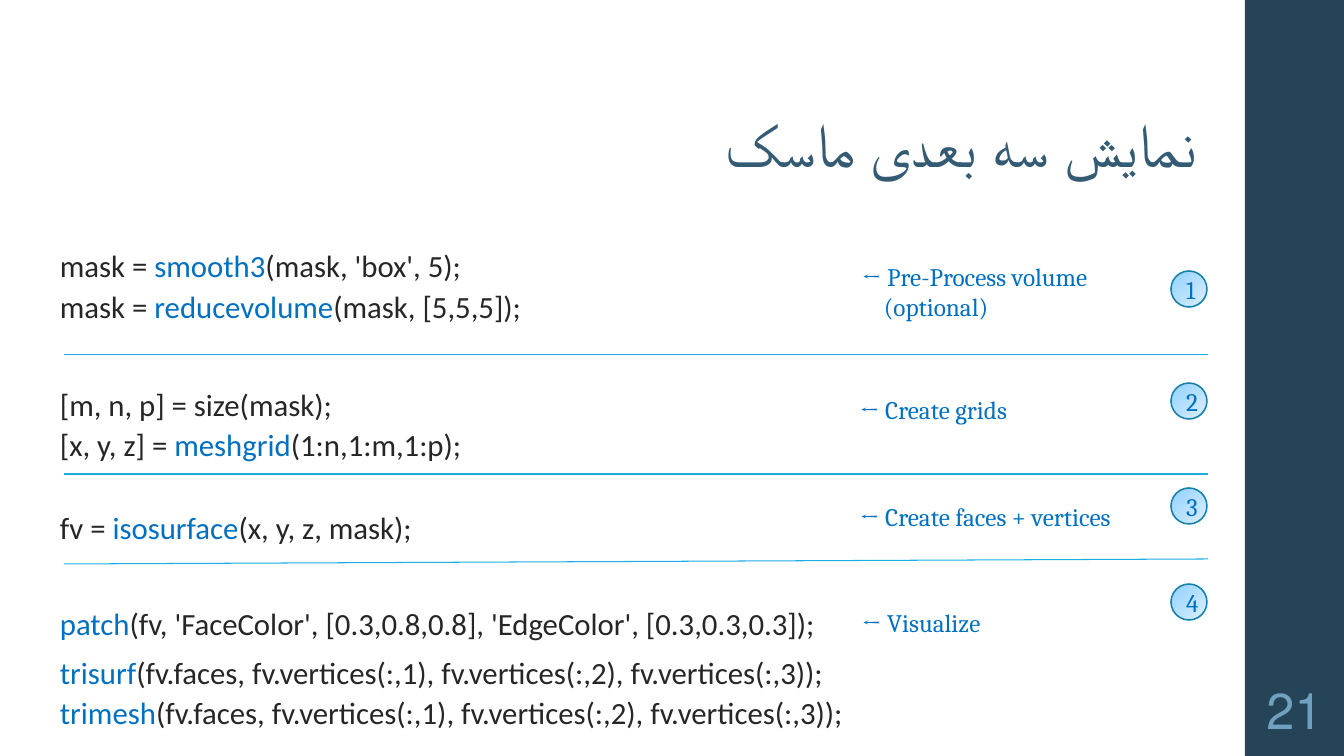
import pptx
import pptx.util
import pptx.dml.color
import pptx.enum.shapes
import pptx.enum.text
import pptx.oxml.ns
import lxml.etree

RGB = pptx.dml.color.RGBColor
NAVY = RGB(0x26, 0x44, 0x57)
SLATE = RGB(0x33, 0x5B, 0x74)
PALE = RGB(0x70, 0xA1, 0xC0)
INK = RGB(0x26, 0x26, 0x26)
BLUE = RGB(0x00, 0x70, 0xC0)
CYAN = RGB(0x1C, 0xAD, 0xE4)
TEAL = RGB(0x15, 0x80, 0xA9)
SKY = RGB(0x8F, 0xD1, 0xFF)
ICE = RGB(0xDD, 0xEF, 0xFF)

Pt = pptx.util.Pt
SHAPE = pptx.enum.shapes.MSO_SHAPE
ALIGN = pptx.enum.text.PP_ALIGN
ANCHOR = pptx.enum.text.MSO_ANCHOR


def px(*nums):
    return [pptx.util.Emu(round(n * 914400 / 100.8)) for n in nums]


def style(para, face, size, color, align=ALIGN.LEFT):
    para.font.name = face
    para.font.size = Pt(size)
    para.font.color.rgb = color
    para.alignment = align


deck = pptx.Presentation()
deck.slide_width, deck.slide_height = px(1344, 756)
slide = deck.slides.add_slide(deck.slide_layouts[6])
shapes = slide.shapes

# Side band
band = shapes.add_shape(SHAPE.RECTANGLE, *px(1245, 0, 99, 756))
band.shadow.inherit = False
band.fill.solid()
band.fill.fore_color.rgb = NAVY
band.line.fill.background()

# Title and page number, both right to left
heads = [
    ((139, 40, 1068, 146), "نمایش سه بعدی ماسک", 44, SLATE, ALIGN.RIGHT, ANCHOR.BOTTOM),
    ((1245, 680, 99, 66), "21", 36, PALE, ALIGN.CENTER, ANCHOR.MIDDLE),
]
for spot, words, size, color, align, anchor in heads:
    frame = shapes.add_textbox(*px(*spot)).text_frame
    frame.word_wrap = True
    frame.vertical_anchor = anchor
    para = frame.paragraphs[0]
    para.text = words
    para.line_spacing = 0.9
    style(para, "Cambria", size, color, align)
    para._p.get_or_add_pPr().set("rtl", "1")

# Code: space before, line spacing, lines with the called function between stars
code = [
    (3, 1.1, ["mask = *smooth3*(mask, 'box', 5);",
              "mask = *reducevolume*(mask, [5,5,5]);"]),
    (38, 1.1, ["[m, n, p] = size(mask);",
               "[x, y, z] = *meshgrid*(1:n,1:m,1:p);"]),
    (30, 1.0, ["fv = *isosurface*(x, y, z, mask);"]),
    (36, 1.1, ["*patch*(fv, 'FaceColor', [0.3,0.8,0.8], 'EdgeColor', [0.3,0.3,0.3]);"]),
    (3, 1.1, ["*trisurf*(fv.faces, fv.vertices(:,1), fv.vertices(:,2), fv.vertices(:,3));",
              "*trimesh*(fv.faces, fv.vertices(:,1), fv.vertices(:,2), fv.vertices(:,3));"]),
]
frame = shapes.add_textbox(*px(50, 238, 1009, 518)).text_frame
frame.word_wrap = True
for i, (before, pitch, lines) in enumerate(code):
    para = frame.add_paragraph() if i else frame.paragraphs[0]
    style(para, "Calibri", 22, INK)
    para.space_before, para.space_after = Pt(before), Pt(3)
    para.line_spacing = pitch
    for j, line in enumerate(lines):
        if j:
            para.add_line_break()
        for k, part in enumerate(line.split("*")):
            if part:
                run = para.add_run()
                run.text = part
                run.font.color.rgb = BLUE if k % 2 else INK

# Steps: label place and words, then the numbered disc
steps = [
    (852, 256, 283, 72, "← Pre-Process volume\v(optional)", 271),
    (850, 389, 198, 40, "← Create grids", 383),
    (850, 496, 316, 40, "← Create faces + vertices", 488),
    (852, 602, 161, 40, "← Visualize", 584),
]
for num, (left, top, wide, high, words, disc_y) in enumerate(steps, 1):
    frame = shapes.add_textbox(*px(left, top, wide, high)).text_frame
    frame.word_wrap = True
    para = frame.paragraphs[0]
    para.text = words
    style(para, "Cambria", 18, BLUE)
    hang = px(22)[0]
    para._p.get_or_add_pPr().set("marL", str(hang))
    para._p.get_or_add_pPr().set("indent", str(-hang))

    disc = shapes.add_shape(SHAPE.OVAL, *px(1171, disc_y, 36, 36))
    disc.shadow.inherit = False
    disc.fill.gradient()
    disc.fill.gradient_angle = 315
    for stop, color in zip(disc.fill.gradient_stops, (SKY, ICE)):
        stop.color.rgb = color
    disc.fill.gradient_stops[0].position = 0
    disc.fill.gradient_stops[1].position = 1
    disc.line.color.rgb = TEAL
    disc.line.width = Pt(1.1)
    disc.text_frame.vertical_anchor = ANCHOR.MIDDLE
    para = disc.text_frame.paragraphs[0]
    para.text = str(num)
    style(para, "Cambria", 18, BLUE, ALIGN.CENTER)

# Rules between the steps
for start, end in [(355, 355), (474, 474), (564, 559)]:
    rule = shapes.add_connector(
        pptx.enum.shapes.MSO_CONNECTOR.STRAIGHT, *px(64, start, 1208, end))
    rule.line.color.rgb = CYAN
    rule.line.width = Pt(0.75)
    lxml.etree.SubElement(rule._element.spPr, pptx.oxml.ns.qn("a:effectLst"))

deck.save("out.pptx")
